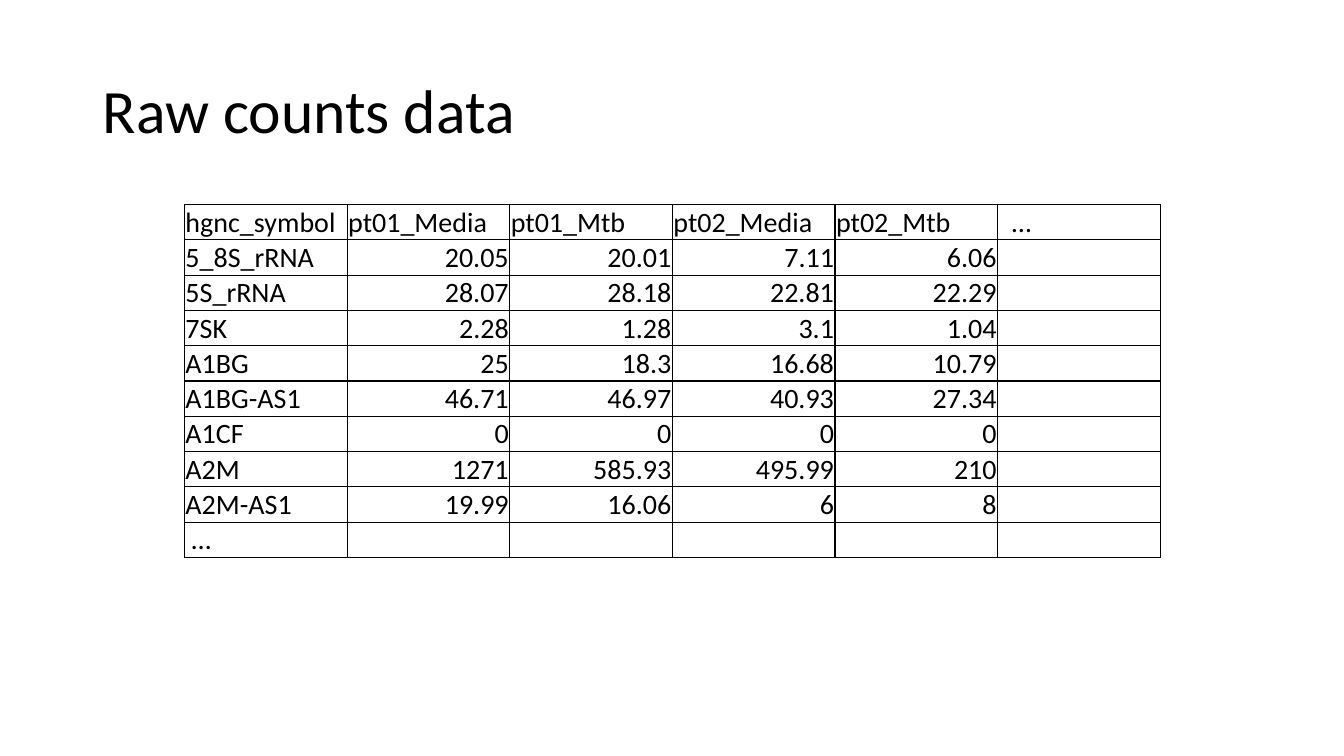
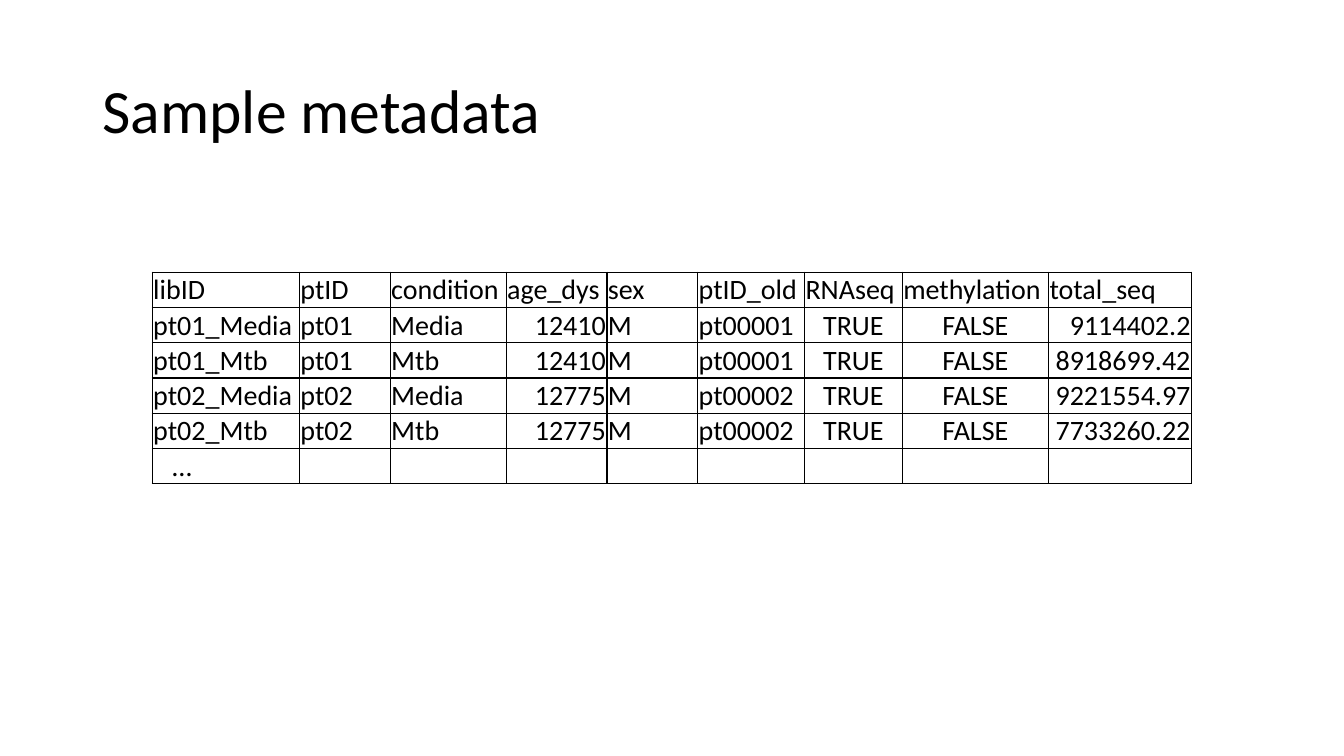
import pptx
import pptx.dml.color
import pptx.enum.text
import pptx.oxml
import pptx.oxml.ns
import pptx.util

Inches = pptx.util.Inches
ALIGN = pptx.enum.text.PP_ALIGN
ANCHOR = pptx.enum.text.MSO_ANCHOR
ALIGNMENTS = {"l": ALIGN.LEFT, "c": ALIGN.CENTER, "r": ALIGN.RIGHT}
COLORS = {"text": "000000", "border": "000000", "background": "FFFFFF"}
FONT = "Calibri"


def write_text(tf, text, size=20, color="text", align="l", spacing=None):
    p = tf.paragraphs[0]
    p.alignment = ALIGNMENTS[align]
    if spacing:
        p.line_spacing = spacing
    r = p.add_run()
    r.text = text
    r.font.name = FONT
    r.font.size = pptx.util.Pt(size)
    r.font.color.rgb = pptx.dml.color.RGBColor.from_string(COLORS[color])


class Deck:
    row_height = 0.35
    cell_margin = 0.01

    def __init__(self):
        self.prs = pptx.Presentation()
        self.prs.slide_width = Inches(13.33)
        self.prs.slide_height = Inches(7.5)
        self.s = None

    def add_slide(self, title):
        self.s = self.prs.slides.add_slide(self.prs.slide_layouts[6])
        fill = self.s.background.fill
        fill.solid()
        fill.fore_color.rgb = pptx.dml.color.RGBColor.from_string(COLORS["background"])
        self.add_title(title)

    def add_title(self, text):
        sp = self.s.shapes.add_textbox(Inches(0.92), Inches(0.4), Inches(11.5), Inches(1.45))
        tf = sp.text_frame
        tf.word_wrap = True
        tf.vertical_anchor = ANCHOR.MIDDLE
        write_text(tf, text, size=44, spacing=0.9)

    def add_borders(self, cell):
        tc_pr = cell._tc.get_or_add_tcPr()
        for side in ("lnL", "lnR", "lnT", "lnB"):
            tc_pr.append(pptx.oxml.parse_xml(
                f'<a:{side} {pptx.oxml.ns.nsdecls("a")} w="12700"><a:solidFill>'
                f'<a:srgbClr val="{COLORS["border"]}"/></a:solidFill></a:{side}>'))

    def add_table(self, left, top, widths, aligns, rows, indents):
        frame = self.s.shapes.add_table(
            len(rows), len(widths), Inches(left), Inches(top),
            Inches(sum(widths)), Inches(self.row_height * len(rows)))
        table = frame.table
        table.first_row = False
        table.horz_banding = False
        for column, width in zip(table.columns, widths):
            column.width = Inches(width)
        for i, values in enumerate(rows):
            table.rows[i].height = Inches(self.row_height)
            for j, align in enumerate(aligns):
                cell = table.cell(i, j)
                self.add_borders(cell)
                cell.fill.background()
                cell.vertical_anchor = ANCHOR.BOTTOM
                cell.margin_left = Inches(self.cell_margin + indents.get((i, j), 0))
                cell.margin_right = cell.margin_top = Inches(self.cell_margin)
                cell.margin_bottom = 0
                if j < len(values):
                    write_text(cell.text_frame, values[j], align=align if i else "l")

    def save(self):
        self.prs.save("out.pptx")


COUNTS = [
    ("hgnc_symbol", "pt01_Media", "pt01_Mtb", "pt02_Media", "pt02_Mtb", "…"),
    ("5_8S_rRNA", "20.05", "20.01", "7.11", "6.06"),
    ("5S_rRNA", "28.07", "28.18", "22.81", "22.29"),
    ("7SK", "2.28", "1.28", "3.1", "1.04"),
    ("A1BG", "25", "18.3", "16.68", "10.79"),
    ("A1BG-AS1", "46.71", "46.97", "40.93", "27.34"),
    ("A1CF", "0", "0", "0", "0"),
    ("A2M", "1271", "585.93", "495.99", "210"),
    ("A2M-AS1", "19.99", "16.06", "6", "8"),
    ("…",),
]
METADATA = [
    ("libID", "ptID", "condition", "age_dys", "sex", "ptID_old", "RNAseq",
     "methylation", "total_seq"),
    ("pt01_Media", "pt01", "Media", "12410", "M", "pt00001", "TRUE", "FALSE", "9114402.2"),
    ("pt01_Mtb", "pt01", "Mtb", "12410", "M", "pt00001", "TRUE", "FALSE", "8918699.42"),
    ("pt02_Media", "pt02", "Media", "12775", "M", "pt00002", "TRUE", "FALSE", "9221554.97"),
    ("pt02_Mtb", "pt02", "Mtb", "12775", "M", "pt00002", "TRUE", "FALSE", "7733260.22"),
    ("…",),
]


def main():
    deck = Deck()
    deck.add_slide("Raw counts data")
    deck.add_table(1.83, 2.03, [9.68 / 6] * 6, "lrrrrl", COUNTS,
                   {(0, 5): 0.13, (9, 0): 0.06})
    deck.add_slide("Sample metadata")
    deck.add_table(1.51, 2.7, [1.46, 0.9, 1.15, 1, 0.9, 1.06, 0.97, 1.45, 1.42],
                   "lllrllccr", METADATA, {(5, 0): 0.19})
    deck.save()


if __name__ == "__main__":
    main()
